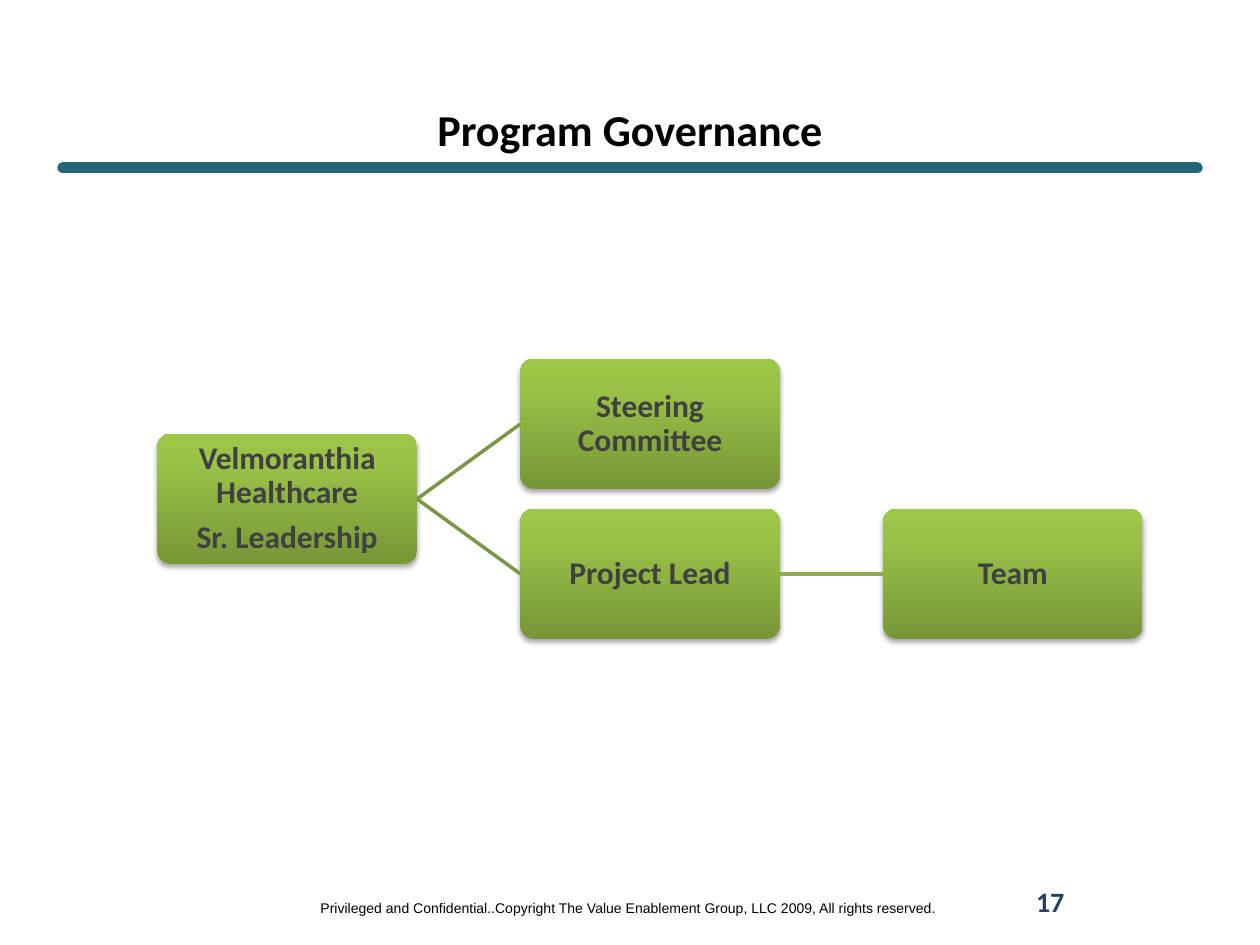
from copy import deepcopy
from dataclasses import dataclass

from lxml.etree import SubElement
from pptx import Presentation
from pptx.dml.color import RGBColor
from pptx.enum.shapes import MSO_CONNECTOR, MSO_SHAPE
from pptx.enum.text import MSO_ANCHOR, PP_ALIGN
from pptx.oxml.ns import qn
from pptx.util import Inches, Pt


@dataclass(frozen=True)
class Theme:
    font: str = "Calibri"
    small: str = "Arial"
    ink: str = "000000"
    label: str = "404040"
    number: str = "254061"
    rule: str = "216778"
    branch: str = "7C9647"
    leaf: str = "8DAA51"
    grad: tuple = ((0, "779737"), (0.8, "9BC348"), (1, "9DC746"))
    title_size: float = 25.2
    box_size: float = 18
    page_size: float = 16
    foot_size: float = 8


def write(frame, *lines, size, color, font, bold=False, wrap=True,
          anchor=MSO_ANCHOR.MIDDLE, margin=None, leading=None, after=None):
    """Fill a text frame with one centred paragraph per line."""
    frame.word_wrap = wrap
    frame.vertical_anchor = anchor
    if margin is not None:
        frame.margin_left = frame.margin_right = margin
        frame.margin_top = frame.margin_bottom = margin
    for i, line in enumerate(lines):
        para = frame.add_paragraph() if i else frame.paragraphs[0]
        para.alignment = PP_ALIGN.CENTER
        para.line_spacing = leading
        para.space_after = after
        run = para.add_run()
        run.text = line
        run.font.name = font
        run.font.size = Pt(size)
        run.font.bold = bold
        run.font.color.rgb = RGBColor.from_string(color)


class Deck:
    """Holds the theme and the slide being drawn."""

    def __init__(self, slide, theme):
        self.slide = slide
        self.theme = theme

    def title(self, text, left, top, width, height):
        shape = self.slide.shapes.title
        shape.left, shape.top = left, top
        shape.width, shape.height = width, height
        write(shape.text_frame, text, size=self.theme.title_size,
              color=self.theme.ink, font=self.theme.font, bold=True)

    def text(self, text, left, top, width, height, **style):
        box = self.slide.shapes.add_textbox(left, top, width, height)
        write(box.text_frame, text, **style)

    def line(self, color, width, start=(0, 0), end=(0, 0)):
        line = self.slide.shapes.add_connector(
            MSO_CONNECTOR.STRAIGHT, *start, *end)
        line.line.color.rgb = RGBColor.from_string(color)
        line.line.width = Pt(width)
        SubElement(line._element.spPr, qn("a:effectLst"))
        return line

    def rule(self, left, right, top):
        line = self.line(self.theme.rule, 6.5, (left, top), (right, top))
        line.line._get_or_add_ln().set("cap", "rnd")

    def link(self, source, target, color):
        """Join the right side of one box to the left side of another."""
        line = self.line(color, 2)
        line.begin_connect(source, 3)
        line.end_connect(target, 1)

    def box(self, lines, left, top, width, height):
        shape = self.slide.shapes.add_shape(
            MSO_SHAPE.ROUNDED_RECTANGLE, left, top, width, height)
        shape.adjustments[0] = 0.1
        shape.line.fill.background()
        self.shade(shape)
        self.shadow(shape)
        write(shape.text_frame, *lines, size=self.theme.box_size,
              color=self.theme.label, font=self.theme.font, bold=True,
              margin=Inches(0.01), leading=0.9,
              after=Pt(0.35 * self.theme.box_size))
        return shape

    def shade(self, shape):
        """Apply the theme gradient, running from bottom to top."""
        shape.fill.gradient()
        shape.fill.gradient_angle = 90
        stops = shape._element.spPr.find(".//" + qn("a:gsLst"))
        stops.append(deepcopy(stops[-1]))
        for stop, (place, color) in zip(shape.fill.gradient_stops,
                                        self.theme.grad):
            stop.position = place
            stop.color.rgb = RGBColor.from_string(color)

    def shadow(self, shape):
        shape.shadow.inherit = False
        effects = shape._element.spPr.find(qn("a:effectLst"))
        outer = SubElement(effects, qn("a:outerShdw"), blurRad=str(Pt(3.1)),
                           dist=str(Pt(1.8)), dir="5400000", rotWithShape="0")
        color = SubElement(outer, qn("a:srgbClr"), val=self.theme.ink)
        SubElement(color, qn("a:alpha"), val="35000")


def main():
    show = Presentation()
    show.slide_width, show.slide_height = Inches(10), Inches(7.5)
    theme = Theme()
    deck = Deck(show.slides.add_slide(show.slide_layouts[5]), theme)

    deck.rule(Inches(0.5), Inches(9.5), Inches(1.33))
    deck.title("Program Governance",
               Inches(0.5), Inches(0.83), Inches(9), Inches(0.38))

    def node(col, row, *lines):
        """Place a box on the grid of the chart."""
        return deck.box(lines, Inches(1.25) + col * Inches(2.88),
                        Inches(2.85) + int(row * Inches(1.19)),
                        Inches(2.06), Inches(1.03))

    head = node(0, 0.5, "Velmoranthia Healthcare", "Sr. Leadership")
    board = node(1, 0, "Steering Committee")
    lead = node(1, 1, "Project Lead")
    team = node(2, 1, "Team")
    deck.link(head, board, theme.branch)
    deck.link(head, lead, theme.branch)
    deck.link(lead, team, theme.leaf)

    deck.text("Privileged and Confidential..Copyright The Value Enablement "
              "Group, LLC 2009, All rights reserved.",
              Inches(2.41), Inches(7.09), Inches(5.16), Inches(0.24),
              size=theme.foot_size, color=theme.ink, font=theme.small,
              wrap=False, anchor=MSO_ANCHOR.TOP)
    deck.text("17", Inches(7.17), Inches(6.95), Inches(2.33), Inches(0.4),
              size=theme.page_size, color=theme.number, font=theme.font,
              bold=True)
    show.save("out.pptx")


if __name__ == "__main__":
    main()
